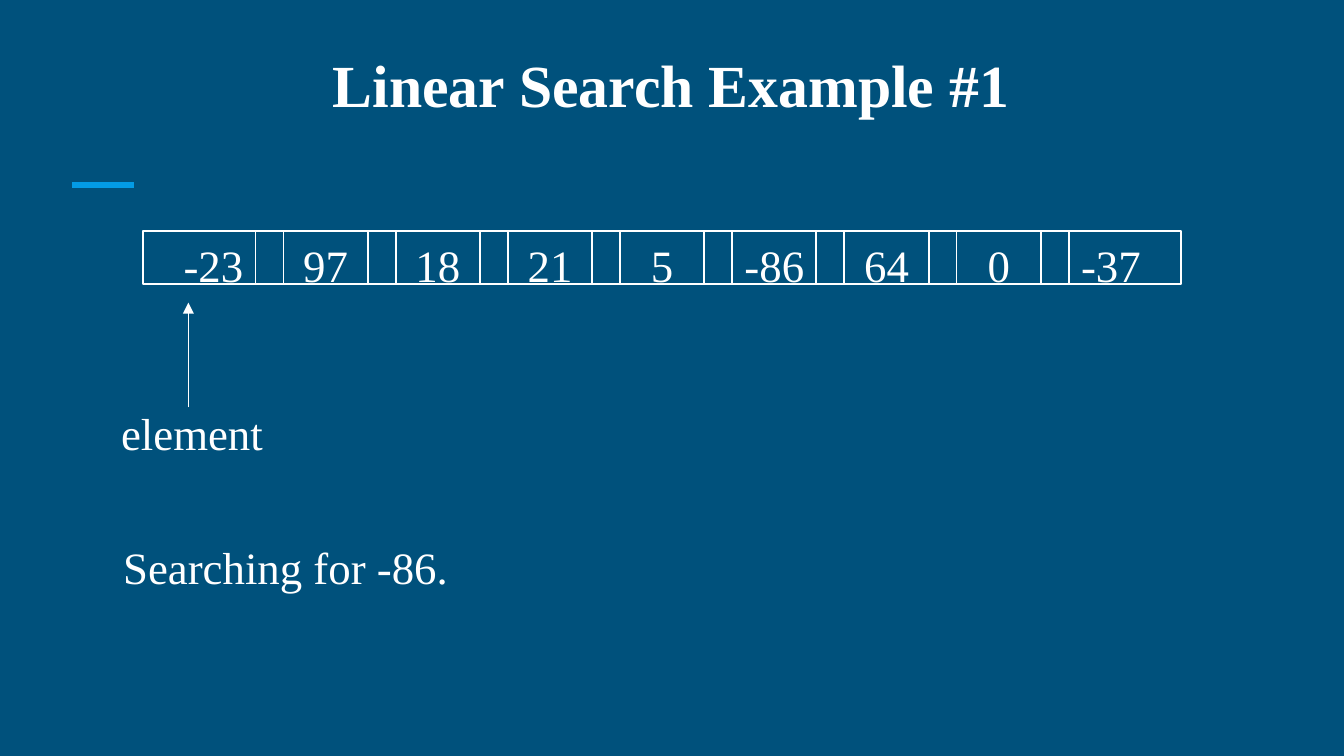
import pptx
import pptx.util
import pptx.dml.color
import pptx.enum.shapes
import pptx.enum.text
import pptx.oxml
import pptx.oxml.ns
from pptx.util import Cm

COLORS = {"background": "00517C", "accent": "039BE5", "white": "FFFFFF"}
ALIGN = pptx.enum.text.PP_ALIGN
ANCHOR = pptx.enum.text.MSO_ANCHOR

LABELS = [
    {"text": "Linear Search Example #1", "at": (1.07, 0.97, 23.24, 1.42),
     "font": {"size": 32, "bold": True}, "align": ALIGN.CENTER, "anchor": ANCHOR.BOTTOM},
    {"text": "element", "at": (1.65, 7.54, 3.96, 1),
     "font": {"size": 24}, "align": ALIGN.CENTER, "anchor": ANCHOR.TOP},
    {"text": "Searching for -86.", "at": (2.08, 10.08, 8.69, 1.27),
     "font": {"size": 24}, "align": ALIGN.LEFT, "anchor": ANCHOR.TOP},
]
NUMBERS = [-23, 97, 18, 21, 5, -86, 64, 0, -37]
CELL = {"left": 2.71, "top": 4.37, "width": 2.65, "height": 1, "pitch": 2.12}
LINES = [
    {"points": (1.37, 3.5, 2.54, 3.5), "color": "accent", "width": 3, "arrow": False},
    {"points": (3.56, 7.7, 3.56, 5.72), "color": "white", "width": 0.75, "arrow": True},
]


def rgb(name):
    return pptx.dml.color.RGBColor.from_string(COLORS[name])


def write_text(box, text, font, align, anchor):
    frame = box.text_frame
    frame.word_wrap = True
    frame.vertical_anchor = anchor
    para = frame.paragraphs[0]
    para.alignment = align
    span = para.add_run()
    span.text = text
    values = {"name": "Times New Roman", **font, "size": pptx.util.Pt(font["size"])}
    for key, value in values.items():
        setattr(span.font, key, value)
    span.font.color.rgb = rgb("white")


def add_label(page, label):
    box = page.shapes.add_textbox(*map(Cm, label["at"]))
    write_text(box, label["text"], label["font"], label["align"], label["anchor"])


def add_cell(page, index, number):
    left = CELL["left"] + index * CELL["pitch"]
    box = page.shapes.add_shape(
        pptx.enum.shapes.MSO_SHAPE.RECTANGLE,
        Cm(left), Cm(CELL["top"]), Cm(CELL["width"]), Cm(CELL["height"]))
    box.shadow.inherit = False
    box.fill.background()
    box.line.color.rgb = rgb("white")
    box.line.width = pptx.util.Pt(1)
    write_text(box, str(number), {"size": 24}, ALIGN.CENTER, ANCHOR.TOP)


def add_line(page, line):
    connector = page.shapes.add_connector(
        pptx.enum.shapes.MSO_CONNECTOR.STRAIGHT, *map(Cm, line["points"]))
    connector.line.color.rgb = rgb(line["color"])
    connector.line.width = pptx.util.Pt(line["width"])
    properties = connector._element.spPr
    if line["arrow"]:
        tail = pptx.oxml.parse_xml(
            f'<a:tailEnd {pptx.oxml.ns.nsdecls("a")} type="triangle"/>')
        properties.find(pptx.oxml.ns.qn("a:ln")).append(tail)
    properties.append(pptx.oxml.parse_xml(
        f'<a:effectLst {pptx.oxml.ns.nsdecls("a")}/>'))


def main():
    deck = pptx.Presentation()
    deck.slide_width, deck.slide_height = Cm(25.4), Cm(14.29)
    page = deck.slides.add_slide(deck.slide_layouts[6])
    page.background.fill.solid()
    page.background.fill.fore_color.rgb = rgb("background")
    for line in LINES:
        add_line(page, line)
    for label in LABELS:
        add_label(page, label)
    for index, number in enumerate(NUMBERS):
        add_cell(page, index, number)
    deck.save("out.pptx")


if __name__ == "__main__":
    main()
